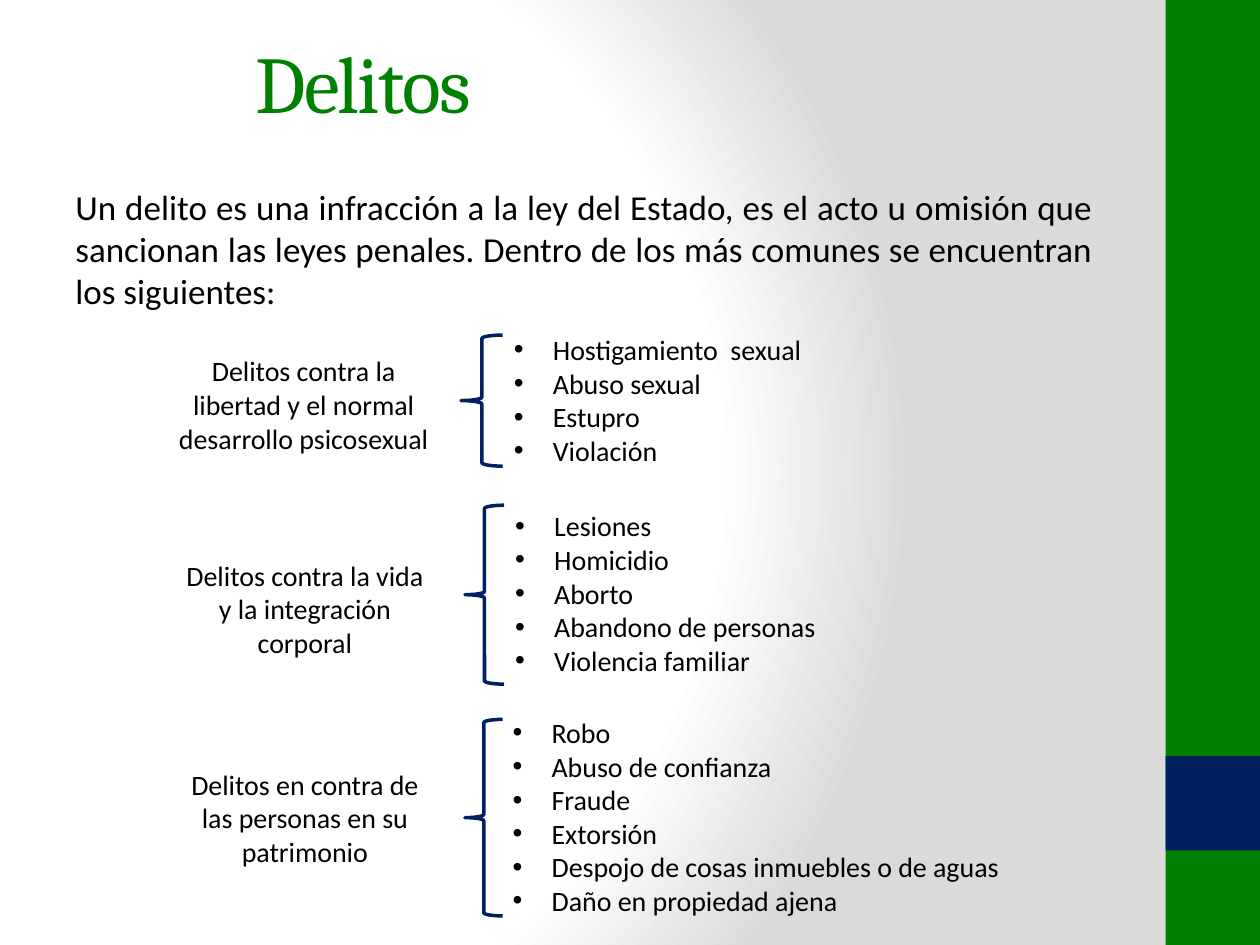
from dataclasses import dataclass

from pptx import Presentation
from pptx.dml.color import RGBColor
from pptx.enum.shapes import MSO_SHAPE as Shape
from pptx.enum.text import MSO_ANCHOR as Anchor, PP_ALIGN as Align
from pptx.oxml import parse_xml
from pptx.oxml.ns import nsdecls
from pptx.util import Inches, Pt

GREEN, NAVY, BLACK = "008000", "002060", "000000"
Box = tuple[float, float, float, float]


@dataclass
class Group:
    label: str
    crimes: list[str]
    label_box: Box
    brace_box: Box
    list_box: Box


GROUPS = [
    Group("Delitos contra la libertad y el normal desarrollo psicosexual",
          ["Hostigamiento  sexual", "Abuso sexual", "Estupro", "Violación"],
          (1.3, 2.76, 2.22, 0.91), (3.66, 2.66, 0.33, 1.04), (3.98, 2.59, 2.62, 1.18)),
    Group("Delitos contra la vida y la integración corporal",
          ["Lesiones", "Homicidio", "Aborto", "Abandono de personas", "Violencia familiar"],
          (1.31, 4.38, 2.22, 0.91), (3.69, 4.01, 0.31, 1.42), (3.99, 3.99, 2.62, 1.45)),
    Group("Delitos en contra de las personas en su patrimonio",
          ["Robo", "Abuso de confianza", "Fraude", "Extorsión",
           "Despojo de cosas inmuebles o de aguas", "Daño en propiedad ajena"],
          (1.31, 6.04, 2.22, 0.91), (3.69, 5.71, 0.3, 1.56), (3.97, 5.63, 4.8, 1.72)),
]


def rgb(color: str) -> RGBColor:
    return RGBColor.from_string(color)


def set_background(s) -> None:
    stops = "".join(
        f'<a:gs pos="{pos * 1000}"><a:srgbClr val="{color}"/></a:gs>'
        for pos, color in [(0, "FFFFFF"), (75, "FFFFFF"), (100, "DADADA")])
    s._element.cSld.insert(0, parse_xml(
        f'<p:bg {nsdecls("p", "a")}><p:bgPr><a:gradFill rotWithShape="1">'
        f'<a:gsLst>{stops}</a:gsLst><a:path path="circle">'
        '<a:fillToRect l="20000" t="50000" r="100000" b="50000"/></a:path>'
        '</a:gradFill><a:effectLst/></p:bgPr></p:bg>'))


def add_bullet(p) -> None:
    pPr = p._p.get_or_add_pPr()
    indent = Inches(0.31)
    pPr.set("marL", str(indent))
    pPr.set("indent", str(-indent))
    for xml in ('<a:buFont {} typeface="Arial"/>', '<a:buChar {} char="•"/>'):
        pPr.append(parse_xml(xml.format(nsdecls("a"))))


def add_text(s, box: Box, *lines: str, size: float = 16, font: str = "Calibri",
             color: str = BLACK, align: Align = Align.LEFT, anchor: Anchor = Anchor.TOP,
             bullets: bool = False, spacing: float = 0) -> None:
    tf = s.shapes.add_textbox(*map(Inches, box)).text_frame
    tf.word_wrap = True
    tf.vertical_anchor = anchor
    for i, line in enumerate(lines):
        p = tf.add_paragraph() if i else tf.paragraphs[0]
        p.alignment = align
        if bullets:
            add_bullet(p)
        r = p.add_run()
        r.text = line
        r.font.size = Pt(size)
        r.font.name = font
        r.font.color.rgb = rgb(color)
        if spacing:
            r._r.get_or_add_rPr().set("spc", str(int(spacing * 100)))


def add_band(s, box: Box, color: str) -> None:
    sp = s.shapes.add_shape(Shape.RECTANGLE, *map(Inches, box))
    sp.shadow.inherit = False
    sp.fill.solid()
    sp.fill.fore_color.rgb = rgb(color)
    sp.line.fill.background()


def add_brace(s, box: Box) -> None:
    sp = s.shapes.add_shape(Shape.LEFT_BRACE, *map(Inches, box))
    sp.shadow.inherit = False
    sp.fill.background()
    sp.line.color.rgb = rgb(NAVY)
    sp.line.width = Pt(2)


def main() -> None:
    prs = Presentation()
    prs.slide_width, prs.slide_height = Inches(10), Inches(7.5)
    s = prs.slides.add_slide(prs.slide_layouts[6])
    set_background(s)
    add_band(s, (9.25, 0, 0.75, 7.5), GREEN)
    add_band(s, (9.25, 6, 0.75, 0.75), NAVY)
    add_text(s, (1.93, 0.02, 8.33, 1.25), "Delitos", size=46, font="Cambria",
             color=GREEN, anchor=Anchor.MIDDLE, spacing=-1)
    add_text(s, (0.5, 1.42, 8.27, 5.51),
             "Un delito es una infracción a la ley del Estado, es el acto u omisión que "
             "sancionan las leyes penales. Dentro de los más comunes se encuentran los "
             "siguientes:", size=20, align=Align.JUSTIFY)
    for group in GROUPS:
        add_text(s, group.label_box, group.label, align=Align.CENTER)
        add_text(s, group.list_box, *group.crimes, bullets=True)
        add_brace(s, group.brace_box)
    prs.save("out.pptx")


if __name__ == "__main__":
    main()
